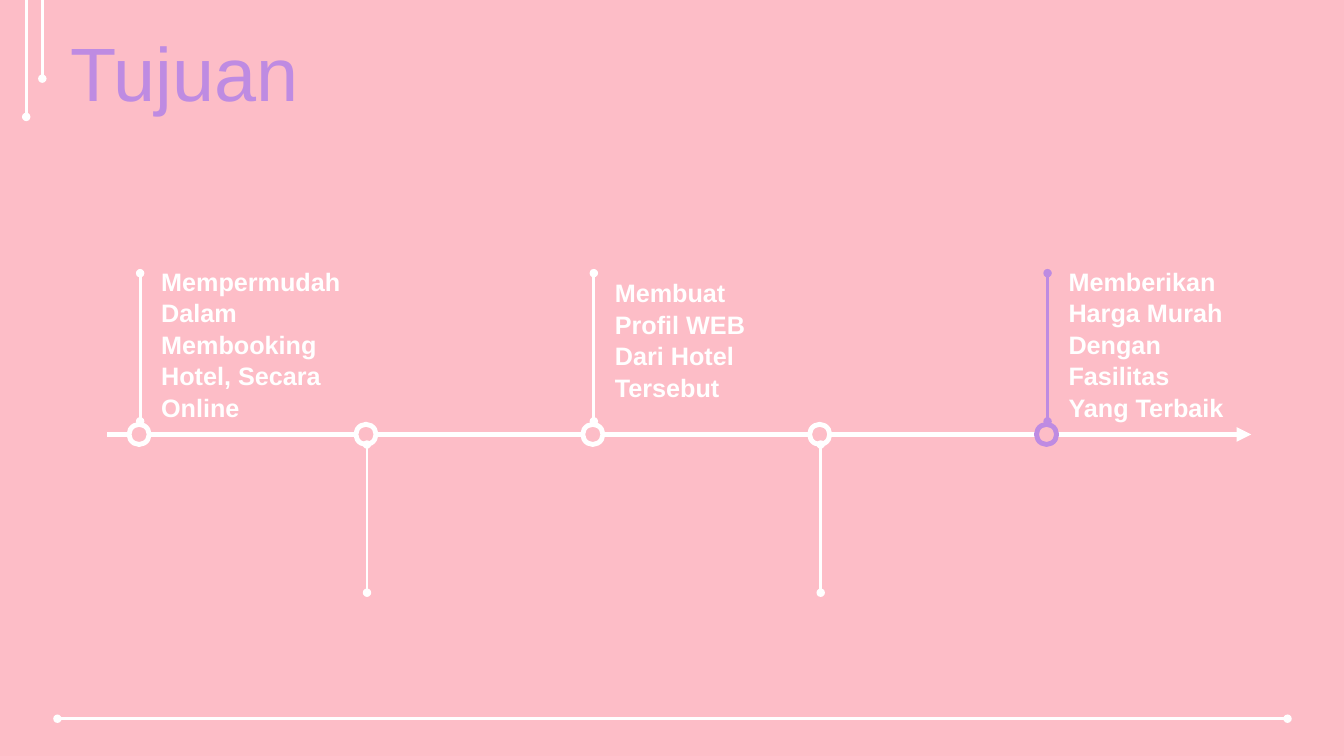
"""Build the "Tujuan" timeline slide."""
from pptx import Presentation
from pptx.dml.color import RGBColor
from pptx.enum import shapes, text
from pptx.oxml import parse_xml
from pptx.oxml import ns
from pptx.util import Inches, Pt

PINK, WHITE, PURPLE = "FDBDC7", "FFFFFF", "BE8BE2"
TITLE = "Tujuan"
FRAME_LINES = [
    (0.57, 7.13, 12.77, 7.13, "oval"),
    (0.26, 0, 0.26, 1.16, None),
    (0.42, 0, 0.42, 0.78, None),
]
MILESTONES = [
    ("Mempermudah Dalam Membooking Hotel, Secara Online", 2.6, 2.08, 1.62, WHITE),
    (None, 0, 0, 0, WHITE),
    ("Membuat Profil WEB Dari Hotel Tersebut", 2.71, 1.84, 1.31, WHITE),
    (None, 0, 0, 0, WHITE),
    ("Memberikan Harga Murah Dengan Fasilitas Yang Terbaik", 2.6, 1.84, 1.62, PURPLE),
]
FIRST_X, STEP, AXIS_Y = 1.38, 2.25, 4.31
RING, STEM_UP, STEM_DOWN = 0.2, (2.71, 4.18), (4.41, 5.88)


def rgb(color):
    return RGBColor.from_string(color)


def add_line(s, x1, y1, x2, y2, color=WHITE, width=2, head=None, tail="oval"):
    ends = [Inches(v) for v in (x1, y1, x2, y2)]
    line = s.shapes.add_connector(shapes.MSO_CONNECTOR.STRAIGHT, *ends)
    line.line.color.rgb = rgb(color)
    line.line.width = Pt(width)
    ln = line.line._get_or_add_ln()
    for tag, kind in (("headEnd", head), ("tailEnd", tail)):
        if kind:
            ln.append(parse_xml(f'<a:{tag} {ns.nsdecls("a")} type="{kind}"/>'))
    line._element.spPr.append(parse_xml(f'<a:effectLst {ns.nsdecls("a")}/>'))


def write(sp, words, size, color, bold, spacing):
    tf = sp.text_frame
    tf.word_wrap = True
    tf.vertical_anchor = text.MSO_ANCHOR.MIDDLE
    p = tf.paragraphs[0]
    p.alignment = text.PP_ALIGN.LEFT
    p.line_spacing = spacing
    p.space_before = Pt(0)
    r = p.add_run()
    r.text = words
    r.font.name, r.font.size, r.font.bold = "Arial", Pt(size), bold
    r.font.color.rgb = rgb(color)
    return tf


def add_ring(s, x, color):
    box = (x - RING / 2, AXIS_Y - RING / 2, RING, RING)
    sp = s.shapes.add_shape(shapes.MSO_SHAPE.OVAL, *[Inches(v) for v in box])
    sp.shadow.inherit = False
    sp.fill.solid()
    sp.fill.fore_color.rgb = rgb(PINK)
    sp.line.color.rgb = rgb(color)
    sp.line.width = Pt(3.5)


def main():
    prs = Presentation()
    prs.slide_width, prs.slide_height = Inches(13.33), Inches(7.5)
    s = prs.slides.add_slide(prs.slide_layouts[5])
    s.background.fill.solid()
    s.background.fill.fore_color.rgb = rgb(PINK)

    for x1, y1, x2, y2, head in FRAME_LINES:
        add_line(s, x1, y1, x2, y2, head=head)

    title = s.shapes.title
    title.left, title.top = Inches(0.6), Inches(0.37)
    title.width, title.height = Inches(12.73), Inches(0.79)
    tf = write(title, TITLE, 54, PURPLE, False, 0.9)
    tf.auto_size = text.MSO_AUTO_SIZE.NONE

    add_line(s, 1.06, AXIS_Y, 12.41, AXIS_Y, width=3.5, tail="triangle")
    for i, (words, top, width, height, color) in enumerate(MILESTONES):
        x = FIRST_X + i * STEP
        add_ring(s, x, color)
        stem_x = x + 0.01
        start, end = STEM_UP if words else STEM_DOWN
        add_line(s, stem_x, start, stem_x, end, color, head="oval")
        if words:
            box = (stem_x + 0.11, top, width, height)
            sp = s.shapes.add_textbox(*[Inches(v) for v in box])
            tf = write(sp, words, 18, WHITE, True, 1.04)
            tf.auto_size = text.MSO_AUTO_SIZE.SHAPE_TO_FIT_TEXT

    prs.save("out.pptx")


if __name__ == "__main__":
    main()
